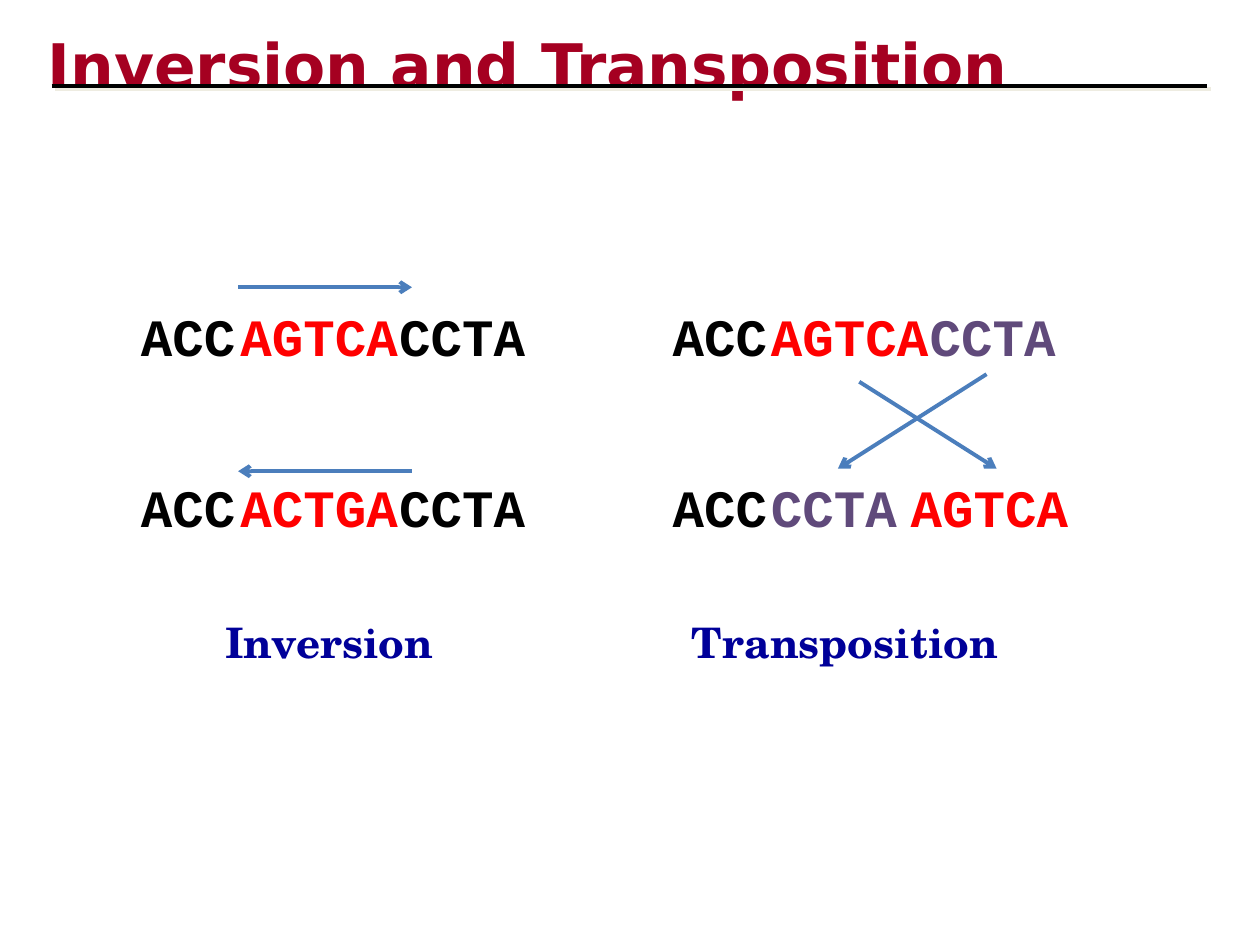
"""Build a slide on inversion and transposition of gene strings."""
from dataclasses import dataclass

from lxml.etree import SubElement
from pptx import Presentation
from pptx.dml.color import RGBColor
from pptx.enum.shapes import MSO_CONNECTOR
from pptx.enum.text import MSO_ANCHOR, MSO_AUTO_SIZE, PP_ALIGN
from pptx.oxml import parse_xml
from pptx.oxml.ns import nsdecls, qn
from pptx.util import Inches, Pt

BLACK = RGBColor(0x00, 0x00, 0x00)
RED = RGBColor(0xFF, 0x00, 0x00)
PURPLE = RGBColor(0x60, 0x4A, 0x7B)
BLUE = RGBColor(0x4B, 0x7E, 0xBC)
NAVY = RGBColor(0x00, 0x00, 0x99)
CRIMSON = RGBColor(0xA5, 0x00, 0x21)
CREAM = RGBColor(0xEE, 0xEC, 0xE1)

TOP, LOW = 2.36, 3.72
LEFT, RIGHT = 1.02, 5.24


@dataclass(frozen=True)
class Label:
    text: str
    left: float
    top: float
    width: float
    height: float
    font: str
    size: float
    color: RGBColor


@dataclass(frozen=True)
class Line:
    start: tuple[float, float]
    end: tuple[float, float]
    color: RGBColor = BLUE
    arrow: bool = True


def gene(text: str, left: float, top: float, color: RGBColor) -> Label:
    width = 0.29 * len(text) + 0.11
    return Label(text, left, top, width, 0.61, "Courier New", 30, color)


def name(text: str, left: float, width: float) -> Label:
    return Label(text, left, 4.84, width, 0.52, "TeX Gyre Schola", 24, NAVY)


TITLE = Label("Inversion and Transposition", 0.28, 0.13, 8.5, 0.67,
              "DejaVu Sans", 35.1, CRIMSON)
RULE = Line((0.41, 0.68), (9.58, 0.68), BLACK, False)
LABELS = [
    gene("ACC", LEFT, TOP, BLACK),
    gene("CCTA", LEFT + 2.05, TOP, BLACK),
    gene("AGTCA", LEFT + 0.79, TOP, RED),
    gene("ACC", LEFT, LOW, BLACK),
    gene("CCTA", LEFT + 2.05, LOW, BLACK),
    gene("ACTGA", LEFT + 0.79, LOW, RED),
    gene("ACC", RIGHT, TOP, BLACK),
    gene("CCTA", RIGHT + 2.04, TOP, PURPLE),
    gene("AGTCA", RIGHT + 0.78, TOP, RED),
    gene("ACC", RIGHT, LOW, BLACK),
    gene("CCTA", RIGHT + 0.78, LOW, PURPLE),
    gene("AGTCA", RIGHT + 1.89, LOW, RED),
    name("Inversion", 1.69, 2.17),
    name("Transposition", 5.39, 2.83),
]
ARROWS = [
    Line((7.83, 2.97), (6.65, 3.72)),
    Line((6.82, 3.03), (7.91, 3.72)),
    Line((1.89, 2.28), (3.27, 2.28)),
    Line((3.27, 3.74), (1.89, 3.74)),
]


def shadow():
    return parse_xml(
        f'<a:effectLst {nsdecls("a")}><a:outerShdw dist="{Pt(2.8)}" '
        f'dir="2700000" algn="ctr" rotWithShape="0"><a:srgbClr val="{CREAM}"/>'
        '</a:outerShdw></a:effectLst>')


def write(shape, label: Label):
    para = shape.text_frame.paragraphs[0]
    para.alignment = PP_ALIGN.LEFT
    run = para.add_run()
    run.text = label.text
    font = run.font
    font.name, font.size, font.bold = label.font, Pt(label.size), True
    font.color.rgb = label.color
    return run


def draw_title(slide, label: Label) -> None:
    title = slide.shapes.title
    title.left, title.top = Inches(label.left), Inches(label.top)
    title.width, title.height = Inches(label.width), Inches(label.height)
    frame = title.text_frame
    frame.auto_size = MSO_AUTO_SIZE.NONE
    frame.vertical_anchor = MSO_ANCHOR.BOTTOM
    frame.margin_bottom = 0
    run = write(title, label)
    run.font.fill._xPr.find(qn("a:solidFill")).addnext(shadow())


def draw_label(slide, label: Label) -> None:
    box = slide.shapes.add_textbox(Inches(label.left), Inches(label.top),
                                   Inches(label.width), Inches(label.height))
    box.text_frame.word_wrap = True
    box.text_frame.auto_size = MSO_AUTO_SIZE.SHAPE_TO_FIT_TEXT
    write(box, label)


def draw_line(slide, line: Line) -> None:
    ends = [Inches(n) for n in line.start + line.end]
    link = slide.shapes.add_connector(MSO_CONNECTOR.STRAIGHT, *ends)
    link.line.color.rgb = line.color
    link.line.width = Pt(2.25)
    props = link._element.spPr
    if line.arrow:
        SubElement(props.find(qn("a:ln")), qn("a:tailEnd"), type="arrow")
        SubElement(props, qn("a:effectLst"))
    else:
        props.append(shadow())


def main() -> None:
    deck = Presentation()
    deck.slide_width, deck.slide_height = Inches(10), Inches(7.5)
    slide = deck.slides.add_slide(deck.slide_layouts[5])
    draw_title(slide, TITLE)
    draw_line(slide, RULE)
    for label in LABELS:
        draw_label(slide, label)
    for arrow in ARROWS:
        draw_line(slide, arrow)
    deck.save("out.pptx")


if __name__ == "__main__":
    main()
